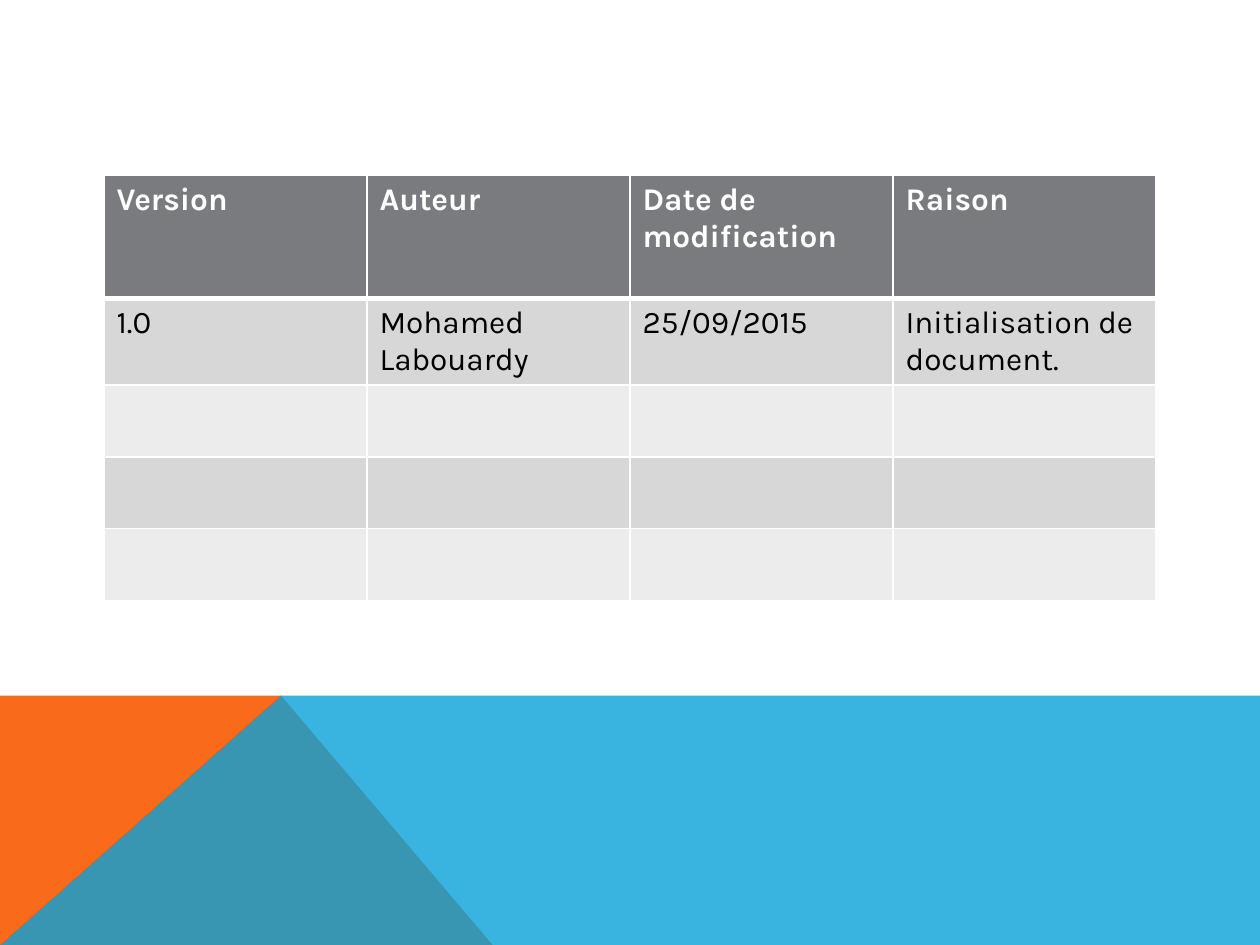
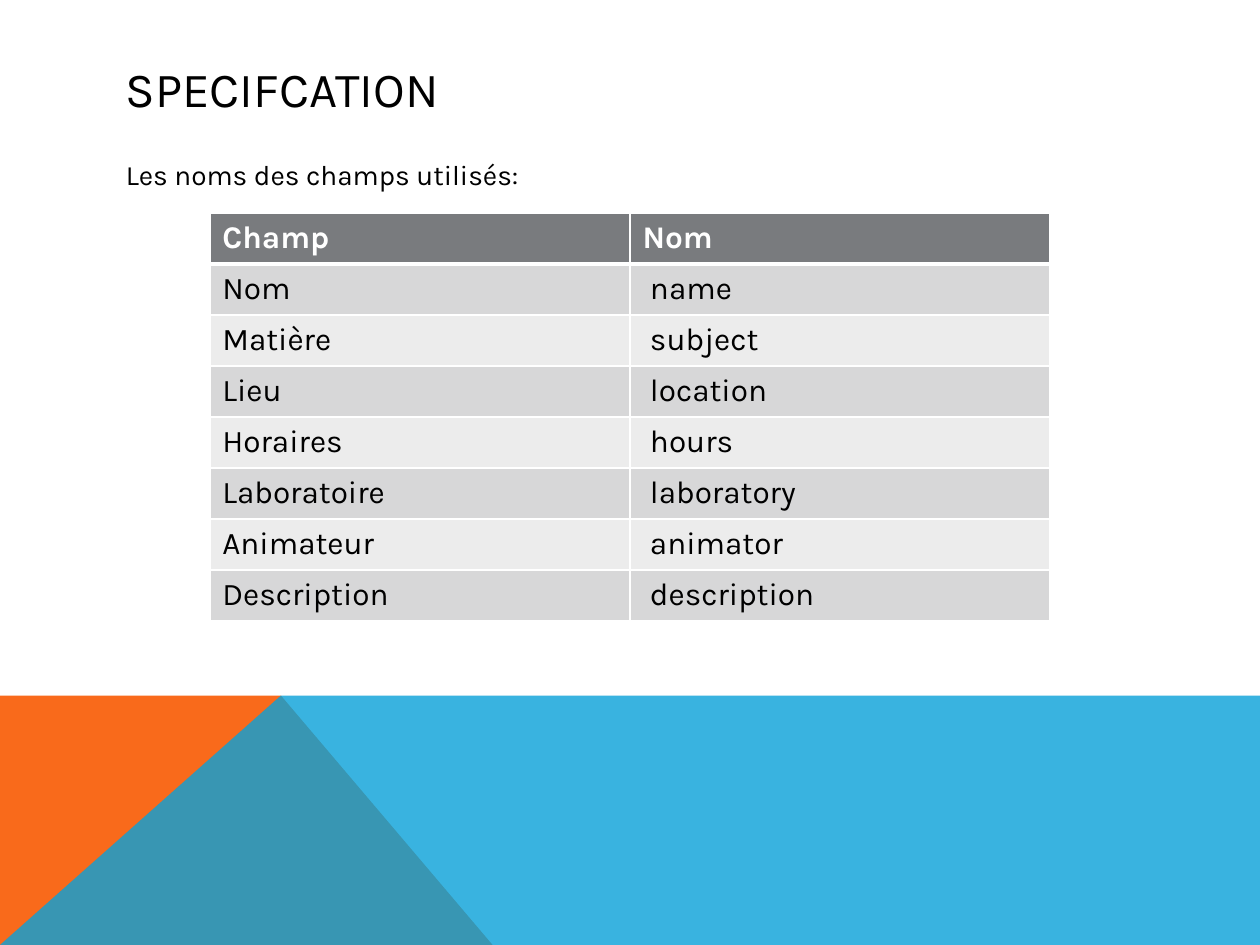
from dataclasses import dataclass

from lxml import etree
from pptx import Presentation
from pptx import util as u
from pptx.dml.color import RGBColor
from pptx.enum import text
from pptx.oxml import ns


@dataclass(frozen=True)
class Theme:
    font: str = "Karla"
    ink: str = "000000"
    paper: str = "FFFFFF"
    orange: str = "F96A1B"
    blue: str = "08A1D9"
    blue_opacity: int = 80
    header: str = "797B7E"
    stripes: tuple = ("D7D7D8", "ECECEC")
    title_size: int = 28
    body_size: int = 16
    table_size: int = 18


THEME = Theme()
WIDTH, HEIGHT = u.Inches(10), u.Inches(7.5)
BAND_TOP = 5.52 / 7.5
PEAK = 0.223
TEXT_LEFT, TEXT_WIDTH = 0.09, 0.822

VERSIONS = [
    ["Version", "Auteur", "Date de modification", "Raison"],
    ["1.0", "Mohamed Labouardy", "25/09/2015", "Initialisation de document."],
] + [[""] * 4] * 3

FIELDS = [
    ["Champ", "Nom"],
    ["Nom", " name"],
    ["Matière", " subject"],
    ["Lieu", " location"],
    ["Horaires", " hours"],
    ["Laboratoire", " laboratory"],
    ["Animateur", " animator"],
    ["Description", " description"],
]


def style_font(font, size, color, bold=False):
    font.name = THEME.font
    font.size = u.Pt(size)
    font.bold = bold
    font.color.rgb = RGBColor.from_string(color)


def add_run(paragraph, content, size, color, bold=False):
    run = paragraph.add_run()
    run.text = content
    style_font(run.font, size, color, bold)


def add_polygon(slide, points, color, opacity=100):
    corners = [(round(x * WIDTH), round(y * HEIGHT)) for x, y in points]
    builder = slide.shapes.build_freeform(*corners[0])
    builder.add_line_segments(corners[1:], close=True)
    shape = builder.convert_to_shape()
    shape.shadow.inherit = False
    shape.line.fill.background()
    shape.fill.solid()
    shape.fill.fore_color.rgb = RGBColor.from_string(color)
    if opacity < 100:
        fill_color = shape._element.spPr.find(".//" + ns.qn("a:srgbClr"))
        etree.SubElement(fill_color, ns.qn("a:alpha"), val=str(opacity * 1000))


def add_band(slide):
    add_polygon(slide, [(0, 1), (0, BAND_TOP), (PEAK, BAND_TOP), (0.391, 1)],
                THEME.orange)
    add_polygon(slide, [(0, 1), (PEAK, BAND_TOP), (1, BAND_TOP), (1, 1)],
                THEME.blue, THEME.blue_opacity)


def add_text(slide, top, height, content, size, anchor):
    box = slide.shapes.add_textbox(
        round(TEXT_LEFT * WIDTH), round(top * HEIGHT),
        round(TEXT_WIDTH * WIDTH), round(height * HEIGHT))
    frame = box.text_frame
    frame.word_wrap = True
    frame.vertical_anchor = anchor
    paragraph = frame.paragraphs[0]
    add_run(paragraph, content, size, THEME.ink)
    return paragraph


def add_borders(cell, bottom_width):
    properties = cell._tc.get_or_add_tcPr()
    for side, width in zip("LRTB", (1, 1, 1, bottom_width)):
        line = etree.SubElement(properties, ns.qn("a:ln" + side),
                                w=str(u.Pt(width)))
        fill = etree.SubElement(line, ns.qn("a:solidFill"))
        etree.SubElement(fill, ns.qn("a:srgbClr"), val=THEME.paper)


def fill_cell(cell, content, row):
    is_header = row == 0
    add_borders(cell, 3 if is_header else 1)
    cell.fill.solid()
    cell.fill.fore_color.rgb = RGBColor.from_string(
        THEME.header if is_header else THEME.stripes[(row - 1) % 2])
    paragraph = cell.text_frame.paragraphs[0]
    color = THEME.paper if is_header else THEME.ink
    if content:
        add_run(paragraph, content, THEME.table_size, color, is_header)
    else:
        style_font(paragraph.font, THEME.table_size, color)


def add_table(slide, rows, top, width, row_heights):
    left = (1 - width) / 2
    table = slide.shapes.add_table(
        len(rows), len(rows[0]), round(left * WIDTH), round(top * HEIGHT),
        round(width * WIDTH), u.Inches(sum(row_heights))).table
    for row, (values, height) in enumerate(zip(rows, row_heights)):
        table.rows[row].height = u.Inches(height)
        for column, content in enumerate(values):
            fill_cell(table.cell(row, column), content, row)


def add_slide(presentation):
    slide = presentation.slides.add_slide(presentation.slide_layouts[6])
    slide.background.fill.solid()
    slide.background.fill.fore_color.rgb = RGBColor.from_string(THEME.paper)
    add_band(slide)
    return slide


def add_version_slide(presentation):
    slide = add_slide(presentation)
    add_table(slide, VERSIONS, 1.39 / 7.5, 0.835, [0.98] + [0.57] * 4)


def add_specification_slide(presentation):
    slide = add_slide(presentation)
    add_text(slide, 0.4 / 7.5, 0.08, "SPECIFCATION", THEME.title_size,
             text.MSO_ANCHOR.MIDDLE)
    intro = add_text(slide, 0.16, 0.52, "Les noms des champs utilisés:",
                     THEME.body_size, text.MSO_ANCHOR.TOP)
    intro.space_before = u.Pt(8)
    add_table(slide, FIELDS, 1.69 / 7.5, 0.667, [3.24 / 8] * 8)


def main():
    presentation = Presentation()
    presentation.slide_width, presentation.slide_height = WIDTH, HEIGHT
    add_version_slide(presentation)
    add_specification_slide(presentation)
    presentation.save("out.pptx")


main()
